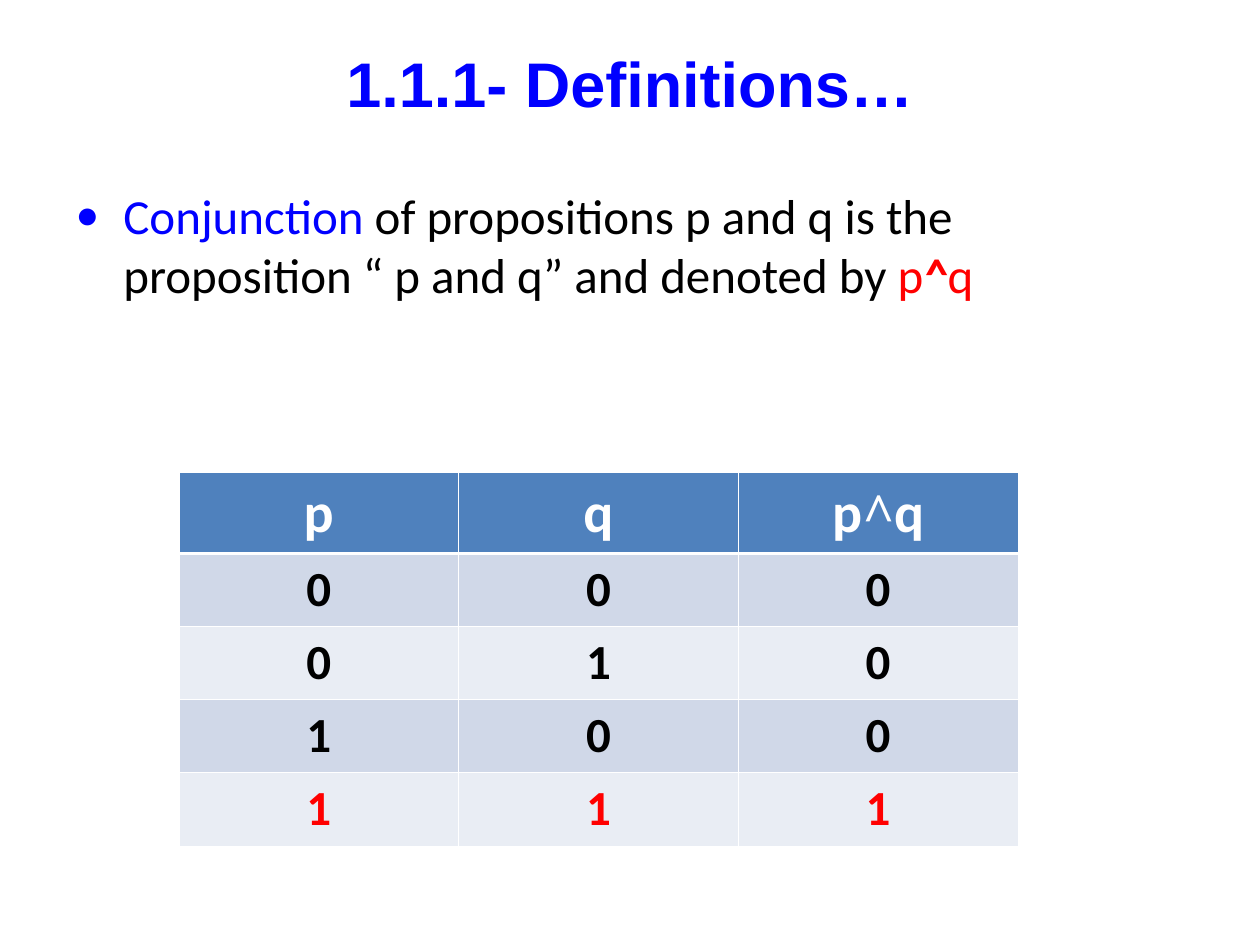
from lxml import etree
from pptx import Presentation
from pptx.dml.color import RGBColor
from pptx.enum import text
from pptx.oxml import ns
from pptx.util import Inches, Pt

COLORS = {
    "blue": "0000FF", "red": "FF0000", "black": "000000", "white": "FFFFFF",
    "header": "4F81BD", "odd": "D0D8E8", "even": "E9EDF4",
}


def add_span(para, words, size, color, font="Calibri", bold=False, italic=False):
    span = para.add_run()
    span.text = words
    span.font.size = Pt(size)
    span.font.name = font
    span.font.bold = bold
    span.font.italic = italic
    span.font.color.rgb = RGBColor.from_string(COLORS[color])


def add_border(cell, side, width):
    line = etree.SubElement(cell._tc.get_or_add_tcPr(), ns.qn(f"a:{side}"), w=str(Pt(width)))
    fill = etree.SubElement(line, ns.qn("a:solidFill"))
    etree.SubElement(fill, ns.qn("a:srgbClr"), val=COLORS["white"])


deck = Presentation()
deck.slide_width, deck.slide_height = Inches(10), Inches(7.5)
page = deck.slides.add_slide(deck.slide_layouts[1])

# Title
title = page.shapes.title
title.left, title.top, title.width, title.height = map(Inches, (0.5, 0.3, 9, 0.7))
title.text_frame.auto_size = text.MSO_AUTO_SIZE.NONE
title.text_frame.vertical_anchor = text.MSO_ANCHOR.MIDDLE
para = title.text_frame.paragraphs[0]
para.alignment = text.PP_ALIGN.CENTER
add_span(para, "1.1.1- Definitions…", 36, "blue", "Arial", bold=True)

# Definition with a blue bullet
body = page.placeholders[1]
body.left, body.top, body.width, body.height = map(Inches, (0.5, 1.42, 9, 1.92))
body.text_frame.auto_size = text.MSO_AUTO_SIZE.NONE
para = body.text_frame.paragraphs[0]
para.space_before = Pt(0)
props = para._p.get_or_add_pPr()
props.set("marL", str(Inches(0.38)))
props.set("indent", str(Inches(-0.38)))
bullet_color = etree.SubElement(props, ns.qn("a:buClr"))
etree.SubElement(bullet_color, ns.qn("a:srgbClr"), val=COLORS["blue"])
etree.SubElement(props, ns.qn("a:buSzPct"), val="80000")
etree.SubElement(props, ns.qn("a:buChar"), char="●")
add_span(para, "Conjunction ", 28, "blue")
add_span(para, "of propositions p and q is the proposition “ p and q” and denoted by ", 28, "black")
add_span(para, "p", 28, "red")
add_span(para, "^", 28, "red", bold=True, italic=True)
add_span(para, "q", 28, "red")

# Truth table: header, then each pair of values with its conjunction
rows = [["p", "q", "p^q"]]
rows += [[str(p), str(q), str(p & q)] for p in (0, 1) for q in (0, 1)]
table = page.shapes.add_table(
    len(rows), 3, Inches(1.42), Inches(3.75), Inches(6.67), Inches(2.96)).table
for column in table.columns:
    column.width = Inches(2.22)

for i, values in enumerate(rows):
    table.rows[i].height = Inches(0.58 if i else 0.64)
    fill = "header" if i == 0 else "odd" if i % 2 else "even"
    color = "white" if i == 0 else "red" if i == len(rows) - 1 else "black"
    for j, value in enumerate(values):
        cell = table.cell(i, j)
        for side in ("lnL", "lnR", "lnT", "lnB"):
            under_header = (i, side) in ((0, "lnB"), (1, "lnT"))
            add_border(cell, side, 1.47 if under_header else 0.45)
        cell.fill.solid()
        cell.fill.fore_color.rgb = RGBColor.from_string(COLORS[fill])
        para = cell.text_frame.paragraphs[0]
        para.alignment = text.PP_ALIGN.CENTER
        for symbol in value:
            wedge = symbol == "^"
            add_span(para, symbol, 28 if i else 32, color,
                     "Times New Roman" if wedge else "Calibri", bold=True, italic=wedge)

deck.save("out.pptx")
